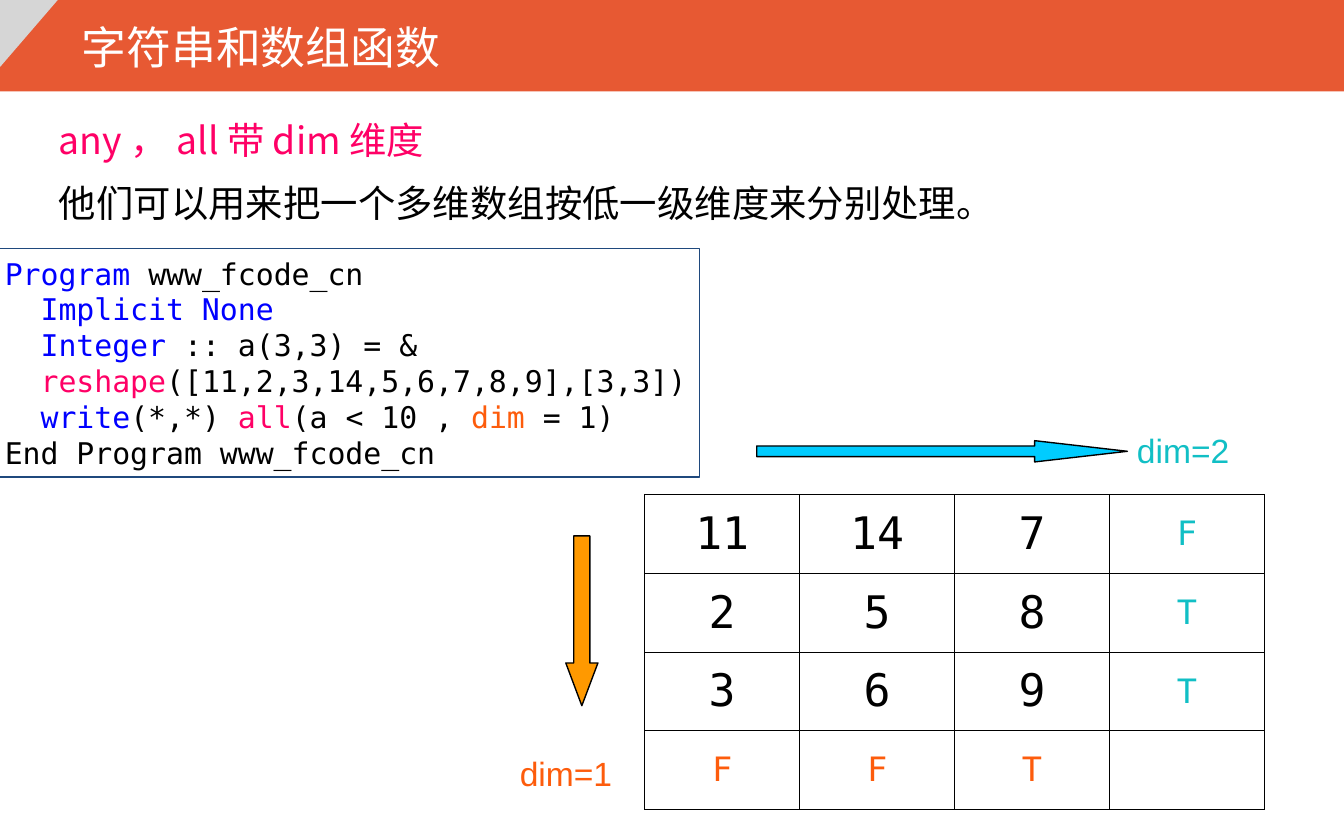
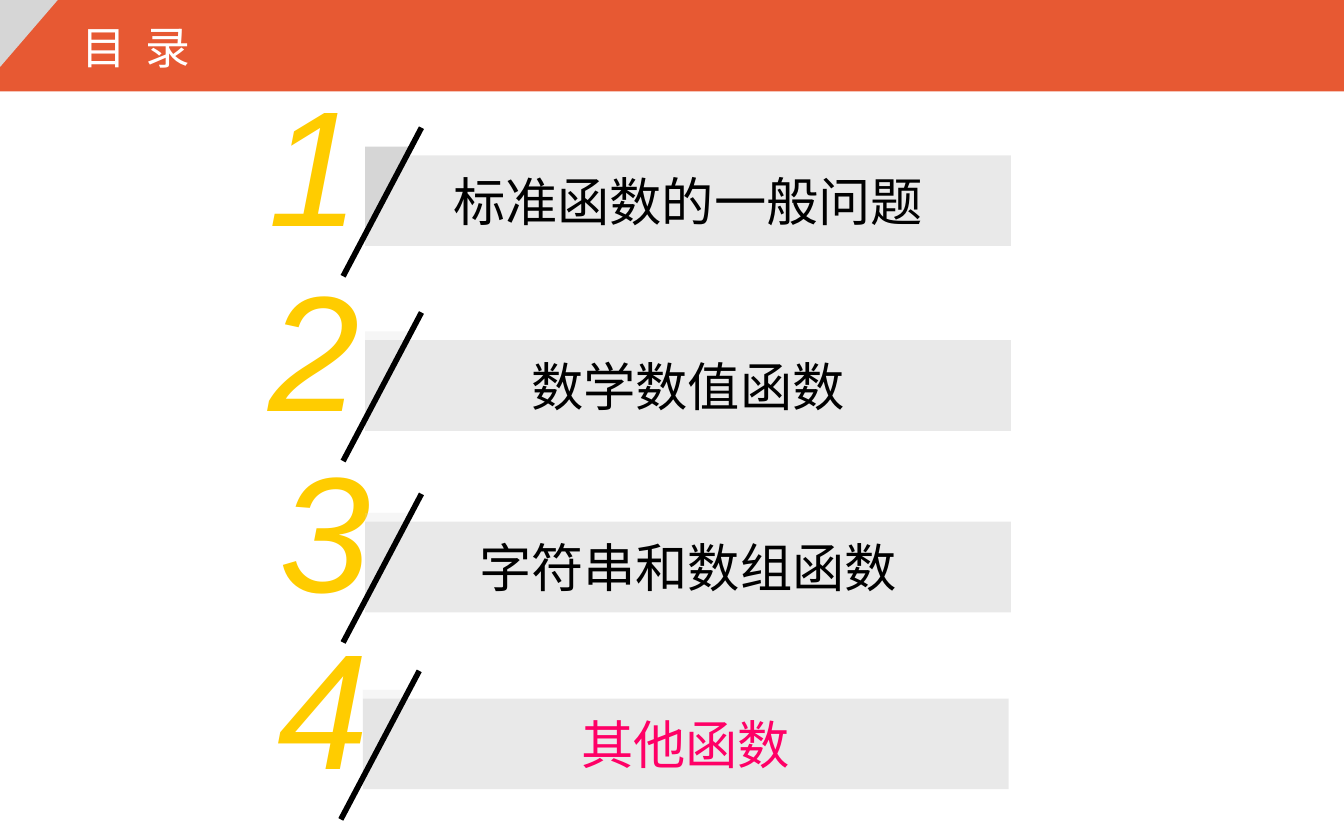
import pptx
import pptx.dml.color
import pptx.enum.shapes
import pptx.enum.text
import pptx.oxml
import pptx.oxml.ns
import pptx.oxml.xmlchemy
import pptx.util
from lxml import etree

Pt = pptx.util.Pt
SHAPE = pptx.enum.shapes.MSO_SHAPE
ALIGN = pptx.enum.text.PP_ALIGN
ANCHOR = pptx.enum.text.MSO_ANCHOR
AUTO = pptx.enum.text.MSO_AUTO_SIZE
qn = pptx.oxml.ns.qn

W, H = 720, 450
SANS, MONO, CJK = "Arial", "DejaVu Sans Mono", "Noto Sans CJK SC"
BLACK, WHITE, BAND, CORNER = "000000", "FFFFFF", "E75933", "D6D6D6"
PINK, BLUE, ORANGE, TEAL = "FF0066", "0000FF", "FD5C0C", "11BFC5"
YELLOW, BAR, NAVY = "FFCC00", "949494", "1F497D"


def rgb(value):
    return pptx.dml.color.RGBColor.from_string(value)


def write_text(tf, paragraphs, size=18, font=SANS, color=BLACK, italic=False,
               align=ALIGN.LEFT, line_spacing=None, tracking=None):
    """Each paragraph is a string or a list of (text, colour) runs."""
    for i, parts in enumerate(paragraphs):
        p = tf.paragraphs[0] if i == 0 else tf.add_paragraph()
        p.alignment = align
        if line_spacing:
            p.line_spacing = line_spacing
        if isinstance(parts, str):
            parts = [(parts, color)]
        for text, run_color in parts:
            r = p.add_run()
            r.text = text
            r.font.size = Pt(size)
            r.font.name = font
            r.font.italic = italic
            r.font.color.rgb = rgb(run_color)
            rPr = r.font._element
            etree.SubElement(rPr, qn("a:ea")).set("typeface", CJK)
            if tracking:
                rPr.set("spc", str(int(tracking * 100)))


def add_text(shapes, box, paragraphs, wrap=True, **fmt):
    sp = shapes.add_textbox(*map(Pt, box))
    tf = sp.text_frame
    tf.word_wrap = wrap
    tf.auto_size = AUTO.SHAPE_TO_FIT_TEXT
    write_text(tf, paragraphs, **fmt)


def add_block(shapes, kind, box, fill=None, line=None, alpha=None, flip=False):
    sp = shapes.add_shape(kind, *map(Pt, box))
    sp.shadow.inherit = False
    if fill:
        sp.fill.solid()
        sp.fill.fore_color.rgb = rgb(fill)
    else:
        sp.fill.background()
    if alpha:
        clr = sp.element.spPr.find(".//" + qn("a:srgbClr"))
        etree.SubElement(clr, qn("a:alpha")).set("val", str(alpha * 1000))
    if line:
        sp.line.color.rgb = rgb(line)
        sp.line.width = Pt(0.75)
    else:
        sp.line.fill.background()
    if flip:
        sp.element.spPr.find(qn("a:xfrm")).set("flipV", "1")
    return sp


def add_header(slide, title, **fmt):
    # Band, folded corner and title shared by all slides
    add_block(slide.shapes, SHAPE.RECTANGLE, (0, 0, W, 49), fill=BAND)
    add_block(slide.shapes, SHAPE.RIGHT_TRIANGLE, (0, 0, 31, 36),
              fill=CORNER, flip=True)
    add_text(slide.shapes, (36.7, 7.2, 300, 36), [title], size=24,
             color=WHITE, **fmt)


def add_code(slide, box):
    code = [
        [("Program ", BLUE), ("www_fcode_cn", BLACK)],
        [("  Implicit None", BLUE)],
        [("  Integer ", BLUE), (":: a(3,3) = &", BLACK)],
        [("  reshape", PINK), ("([11,2,3,14,5,6,7,8,9],[3,3])", BLACK)],
        [("  write", BLUE), ("(*,*) ", BLACK), ("all", PINK),
         ("(a < 10 , ", BLACK), ("dim ", ORANGE), ("= 1)", BLACK)],
        "End Program www_fcode_cn",
    ]
    sp = add_block(slide.shapes, SHAPE.RECTANGLE, box, line=NAVY)
    tf = sp.text_frame
    tf.word_wrap = False
    tf.auto_size = AUTO.SHAPE_TO_FIT_TEXT
    tf.vertical_anchor = ANCHOR.TOP
    write_text(tf, code, size=16, font=MONO)


def set_borders(cell, color, width):
    tcPr = cell._tc.get_or_add_tcPr()
    for i, side in enumerate(("lnL", "lnR", "lnT", "lnB")):
        ln = etree.Element(qn("a:" + side), w=str(Pt(width)))
        fill = etree.SubElement(ln, qn("a:solidFill"))
        etree.SubElement(fill, qn("a:srgbClr")).set("val", color)
        tcPr.insert(i, ln)


def add_matrix(slide, box):
    rows = [("11", "14", "7", "F"), ("2", "5", "8", "T"),
            ("3", "6", "9", "T"), ("F", "F", "T", "")]
    last = len(rows) - 1
    table = slide.shapes.add_table(4, 4, *map(Pt, box)).table
    table.first_row = table.horz_banding = False
    for i, row in enumerate(rows):
        table.rows[i].height = Pt(box[3] / 4)
        table.columns[i].width = Pt(box[2] / 4)
        for j, value in enumerate(row):
            cell = table.cell(i, j)
            cell.fill.background()
            cell.vertical_anchor = ANCHOR.MIDDLE
            set_borders(cell, BLACK, 0.45)
            if not value:
                continue
            # Results per dimension sit in the last row and column
            color = ORANGE if i == last else TEAL if j == last else BLACK
            write_text(cell.text_frame, [value], font=MONO, color=color,
                       size=24 if color == BLACK else 18, align=ALIGN.CENTER)


def add_dimension(slide, kind, box, fill, head, label, label_box, color, wrap):
    # Arrow along one dimension, and its label
    sp = add_block(slide.shapes, kind, box, fill=fill, line=BLACK)
    sp.adjustments[0] = 0.5
    sp.adjustments[1] = head
    add_text(slide.shapes, label_box, [label], color=color, wrap=wrap)


def add_matrix_figure(slide, x, y):
    add_matrix(slide, (x, y, 332, 169))
    add_dimension(slide, SHAPE.DOWN_ARROW, (x - 42.3, y + 22.3, 17.2, 91),
                  "FF9900", 1.33, "dim=1", (x - 74, y + 134.8, 64, 29),
                  ORANGE, False)
    add_dimension(slide, SHAPE.RIGHT_ARROW, (x + 60, y - 28.7, 198.6, 11.4),
                  "00CCFF", 4.36, "dim=2", (x + 256.6, y - 38, 75.6, 29),
                  TEAL, True)


def add_agenda_item(slide, x, y, number, text, number_dx, color=BLACK, alpha=20):
    shapes = slide.shapes.add_group_shape().shapes
    # Large number
    add_text(shapes, (x + number_dx, y - 53.5, 63.4, 113), [number], wrap=False,
             size=88, color=YELLOW, italic=True)
    # Bar with the topic
    sp = add_block(shapes, SHAPE.RECTANGLE, (x, y, 346, 48.6), fill=BAR, alpha=20)
    sp.text_frame.word_wrap = True
    sp.text_frame.vertical_anchor = ANCHOR.MIDDLE
    write_text(sp.text_frame, [text], size=28, font=MONO, color=color,
               align=ALIGN.CENTER)
    # Corner and slash
    add_block(shapes, SHAPE.RIGHT_TRIANGLE, (x, y - 4.6, 26.6, 47.8),
              fill=CORNER, alpha=alpha, flip=True)
    ends = (x + 30.2, y - 14.8, x - 11.8, y + 64.8)
    line = shapes.add_connector(pptx.enum.shapes.MSO_CONNECTOR.STRAIGHT,
                                *map(Pt, ends))
    line.line.color.rgb = rgb(BLACK)
    line.line.width = Pt(3)
    etree.SubElement(line.element.spPr, qn("a:effectLst"))


def build_array_slide(slide):
    add_header(slide, "字符串和数组函数")
    add_text(slide.shapes, (24.5, 49.7, 694, 75),
             [[("any ， all 带 dim 维度", PINK)],
              "他们可以用来把一个多维数组按低一级维度来分别处理。"],
             size=20, font=CJK, line_spacing=1.4)
    add_code(slide, (-4.5, 133.2, 379.4, 122.4))
    add_matrix_figure(slide, 345.4, 264.8)


def build_agenda_slide(slide):
    add_header(slide, "目 录", font=MONO, tracking=2.5)
    add_agenda_item(slide, 195.6, 83.2, "1", "标准函数的一般问题", -59, alpha=None)
    add_agenda_item(slide, 195.6, 182.2, "2", "数学数值函数", -59)
    add_agenda_item(slide, 195.6, 279.4, "3", "字符串和数组函数", -53)
    add_agenda_item(slide, 194.4, 374.2, "4", "其他函数", -52.6, color=PINK)


def main():
    prs = pptx.Presentation()
    prs.slide_width, prs.slide_height = Pt(W), Pt(H)
    for build in (build_array_slide, build_agenda_slide):
        build(prs.slides.add_slide(prs.slide_layouts[6]))
    prs.save("out.pptx")


if __name__ == "__main__":
    main()
